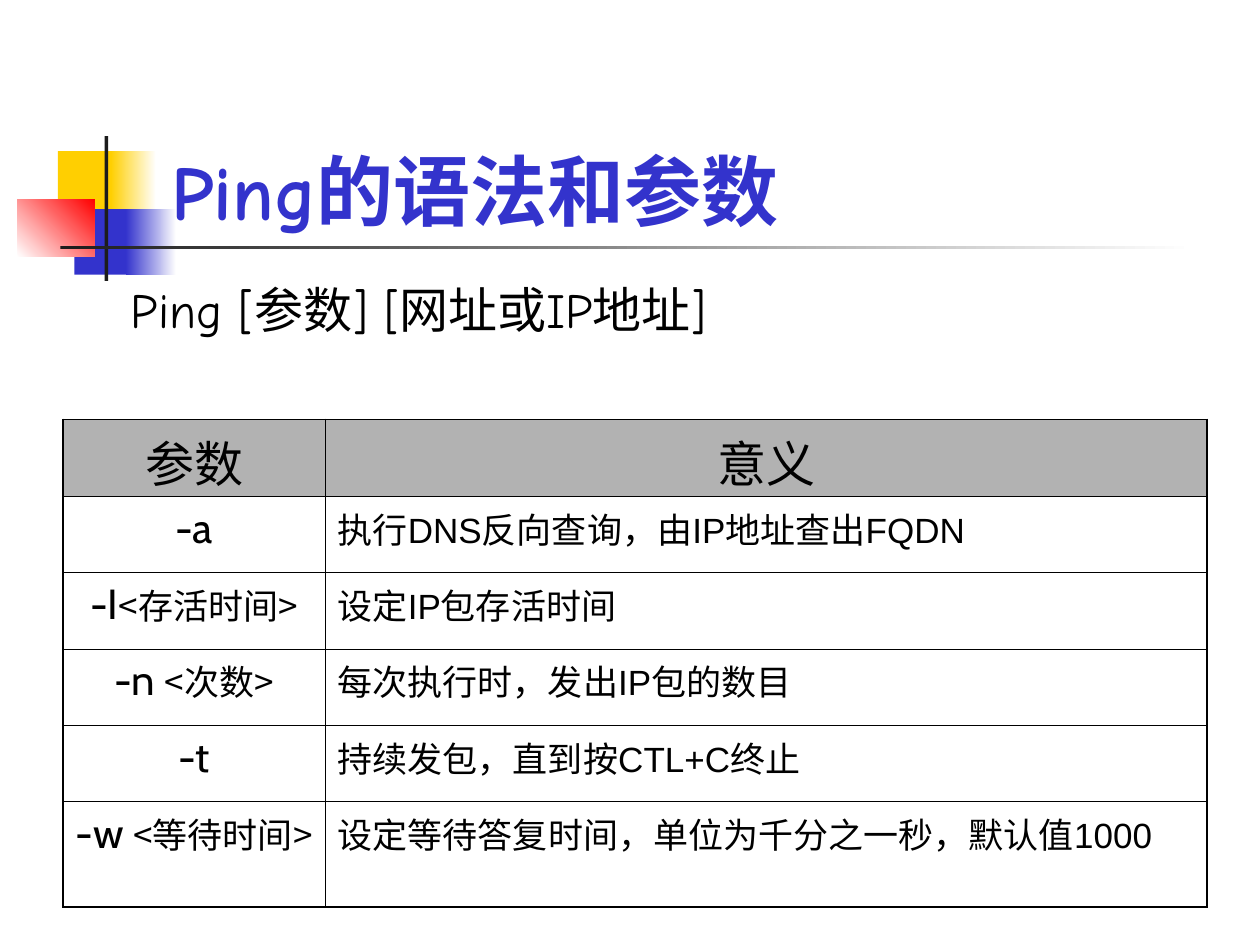
"""Build the slide on ping syntax and its parameter table."""
from lxml.etree import SubElement
from pptx import Presentation
from pptx.dml.color import RGBColor
from pptx.enum.shapes import MSO_SHAPE
from pptx.enum.text import MSO_ANCHOR, MSO_AUTO_SIZE, PP_ALIGN
from pptx.oxml.ns import qn
from pptx.util import Inches, Pt

COLORS = {"yellow": "FFCF01", "blue": "3333CC", "red": "FF0000", "dark": "1C1C1C",
          "white": "FFFFFF", "black": "000000", "gray": "B2B2B2"}
CJK = "Noto Sans CJK SC"


def style_run(run, size, font, color="black", bold=False):
    run.font.size = Pt(size)
    run.font.name = font
    run.font.bold = bold
    run.font.color.rgb = RGBColor.from_string(COLORS[color])
    SubElement(run.font._element, qn("a:ea"), typeface=CJK)


def add_border(cell, side, width):
    line = SubElement(cell._tc.get_or_add_tcPr(), qn(f"a:{side}"), w=str(Pt(width)))
    fill = SubElement(line, qn("a:solidFill"))
    SubElement(fill, qn("a:srgbClr"), val=COLORS["black"])


prs = Presentation()
prs.slide_width, prs.slide_height = Inches(10), Inches(7.5)
slide = prs.slides.add_slide(prs.slide_layouts[5])

ornaments = [
    (0.46, 1.2, 0.48, 0.52, ["yellow"], 0),
    (0.88, 1.2, 0.36, 0.52, ["yellow", "white"], 0),
    (0.59, 1.66, 0.46, 0.52, ["blue"], 0),
    (1, 1.66, 0.4, 0.52, ["blue", "white"], 0),
    (0.14, 1.58, 0.61, 0.46, ["white", "red"], 45),
    (0.83, 1.08, 0.03, 1.15, ["dark"], 0),
    (0.48, 1.95, 9, 0.03, ["dark", "white"], 0),
]
for left, top, width, height, colors, angle in ornaments:
    ornament = slide.shapes.add_shape(MSO_SHAPE.RECTANGLE, Inches(left), Inches(top),
                                      Inches(width), Inches(height))
    ornament.shadow.inherit = False
    ornament.line.fill.background()
    if len(colors) == 1:
        ornament.fill.solid()
        ornament.fill.fore_color.rgb = RGBColor.from_string(COLORS[colors[0]])
    else:
        ornament.fill.gradient()
        ornament.fill.gradient_angle = angle
        for stop, color, position in zip(ornament.fill.gradient_stops, colors, (0, 1)):
            stop.color.rgb = RGBColor.from_string(COLORS[color])
            stop.position = position

title = slide.shapes.title
title.left, title.top = Inches(1.26), Inches(0.67)
title.width, title.height = Inches(8.52), Inches(1.25)
title.text_frame.text = "Ping的语法和参数"
title.text_frame.auto_size = MSO_AUTO_SIZE.NONE
title.text_frame.vertical_anchor = MSO_ANCHOR.BOTTOM
title.text_frame.paragraphs[0].alignment = PP_ALIGN.LEFT
style_run(title.text_frame.paragraphs[0].runs[0], 44, "Comic Neue", "blue", True)
slide.shapes.element.append(title.element)

syntax = slide.shapes.add_textbox(Inches(0.94), Inches(2.17), Inches(5.33), Inches(0.57))
syntax.text_frame.text = "Ping [参数] [网址或IP地址]"
syntax.text_frame.word_wrap = False
syntax.text_frame.auto_size = MSO_AUTO_SIZE.SHAPE_TO_FIT_TEXT
style_run(syntax.text_frame.paragraphs[0].runs[0], 28, "Comic Neue")

HEADER, OPTION = (28, "Cabin"), (24, "Cabin")
VALUE, MEANING = (20, CJK), (20, "Arial")
parameters = [
    ([("参数", HEADER)], [("意义", HEADER)]),
    ([("-a", OPTION)], [("执行DNS反向查询，由IP地址查出FQDN", MEANING)]),
    ([("-I", OPTION), ("<存活时间>", VALUE)], [("设定IP包存活时间", MEANING)]),
    ([("-n ", OPTION), ("<次数>", VALUE)], [("每次执行时，发出IP包的数目", MEANING)]),
    ([("-t", OPTION)], [("持续发包，直到按CTL+C终止", MEANING)]),
    ([("-w ", OPTION), ("<等待时间>", VALUE)],
     [("设定", MEANING), ("等待答复时间，单位为千分之一秒，默认值", VALUE), ("1000", MEANING)]),
]
row_heights = [0.61, 0.6, 0.61, 0.61, 0.6, 0.84]
table = slide.shapes.add_table(len(parameters), 2, Inches(0.5), Inches(3.33),
                               Inches(9.08), Inches(3.86)).table
table.columns[0].width, table.columns[1].width = Inches(2.08), Inches(7)
last_row = len(parameters) - 1
for r, (texts, height) in enumerate(zip(parameters, row_heights)):
    table.rows[r].height = Inches(height)
    for c, pieces in enumerate(texts):
        cell = table.cell(r, c)
        paragraph = cell.text_frame.paragraphs[0]
        paragraph.alignment = PP_ALIGN.CENTER if r == 0 or c == 0 else PP_ALIGN.LEFT
        for text, (size, font) in pieces:
            run = paragraph.add_run()
            run.text = text
            style_run(run, size, font)
        outer = {"lnL": c == 0, "lnR": c == 1, "lnT": r == 0, "lnB": r == last_row}
        for side, is_outer in outer.items():
            add_border(cell, side, 1.08 if is_outer else 0.45)
        if r == 0:
            cell.fill.solid()
            cell.fill.fore_color.rgb = RGBColor.from_string(COLORS["gray"])
        else:
            cell.fill.background()

prs.save("out.pptx")
